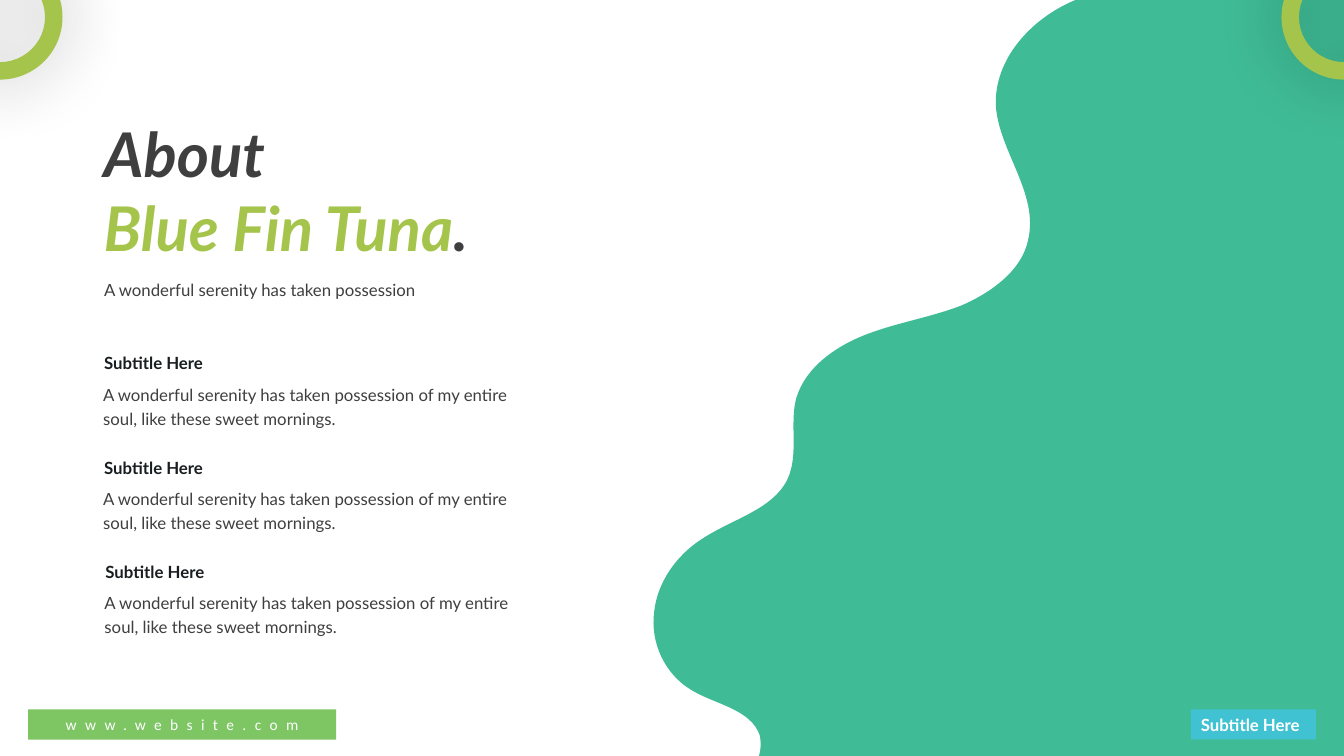
from dataclasses import dataclass, field
from typing import Any

import lxml.etree
import pptx
import pptx.dml.color
import pptx.enum.shapes
import pptx.enum.text
import pptx.oxml.ns
import pptx.util

SLIDE_WIDTH = pptx.util.Inches(40 / 3)
SLIDE_HEIGHT = pptx.util.Inches(7.5)
COLUMNS = 400 / 3
ROWS = 75

SHAPES = pptx.enum.shapes.MSO_SHAPE
ALIGN = pptx.enum.text.PP_ALIGN
ANCHOR = pptx.enum.text.MSO_ANCHOR
AUTO_SIZE = pptx.enum.text.MSO_AUTO_SIZE

Point = tuple[float, float]


@dataclass(frozen=True)
class Theme:
    wave: str = "3FBC96"
    lime: str = "A5C44B"
    leaf: str = "7EC564"
    sky: str = "40C2D2"
    gray: str = "3F3F3F"
    ink: str = "181E20"
    white: str = "FFFFFF"
    shadow: str = "000000"
    font: str = "Lato"
    address_font: str = "Calibri"
    title_size: int = 44
    body_size: int = 12
    address_size: int = 11
    address_spacing: int = 600


THEME = Theme()


@dataclass(frozen=True)
class Box:
    left: float
    top: float
    width: float
    height: float

    def placement(self) -> tuple[int, int, int, int]:
        return (*place((self.left, self.top)), *place((self.width, self.height)))


@dataclass(frozen=True)
class TextRun:
    text: str
    color: str
    size: int = THEME.body_size
    name: str = THEME.font
    bold: bool = False
    italic: bool = False
    spacing: int = 0


@dataclass(frozen=True)
class Label:
    box: Box
    lines: list[list[TextRun]]
    line_spacing: float | None = None
    fill: str | None = None
    kind: Any = SHAPES.RECTANGLE
    alignment: Any = ALIGN.LEFT
    frame: dict[str, Any] = field(default_factory=lambda: {
        "word_wrap": True,
        "auto_size": AUTO_SIZE.SHAPE_TO_FIT_TEXT,
        "vertical_anchor": ANCHOR.TOP,
    })


WAVE_START: Point = (75.3, 75)
WAVE_CURVES: list[tuple[Point, Point, Point]] = [
    ((75.5, 74.4), (75.5, 73.7), (75.4, 73)),
    ((74.5, 70.3), (70.9, 69.9), (68.5, 68.4)),
    ((65.9, 66.8), (64.5, 63.7), (64.9, 60.7)),
    ((65.2, 57.8), (67.1, 55.1), (69.6, 53.5)),
    ((72.6, 51.5), (76.6, 50.6), (78.1, 47.6)),
    ((79.3, 45.1), (78.3, 42.1), (79, 39.5)),
    ((79.9, 36.5), (82.8, 34.4), (85.9, 33.2)),
    ((89, 32), (92.3, 31.5), (95.4, 30.3)),
    ((98.4, 29), (101.4, 26.8), (102, 23.8)),
    ((103.1, 19.2), (99.1, 15), (98.8, 10.5)),
    ((98.6, 5.9), (102.3, 1.8), (106.7, 0)),
    ((108.9, -0.8), (111.3, -1.2), (113.7, -1.2)),
    ((116.1, -1.2), (118.6, -0.9), (120.9, -0.3)),
]
WAVE_CORNERS: list[Point] = [(122.4, 0), (COLUMNS, 0), (COLUMNS, ROWS)]


def place(point: Point) -> tuple[int, int]:
    return round(point[0] * SLIDE_WIDTH / COLUMNS), round(point[1] * SLIDE_HEIGHT / ROWS)


def rgb(color: str) -> pptx.dml.color.RGBColor:
    return pptx.dml.color.RGBColor.from_string(color)


def set_values(target: Any, values: dict[str, Any]) -> None:
    for name, value in values.items():
        setattr(target, name, value)


def paint(shape: Any, color: str) -> None:
    shape.fill.solid()
    shape.fill.fore_color.rgb = rgb(color)
    shape.line.fill.background()
    shape.shadow.inherit = False


def draw_wave(slide: Any) -> None:
    anchors = [curve[-1] for curve in WAVE_CURVES] + WAVE_CORNERS
    builder = slide.shapes.build_freeform(*place(WAVE_START))
    builder.add_line_segments([place(anchor) for anchor in anchors], close=True)
    wave = builder.convert_to_shape()
    paint(wave, THEME.wave)
    qualified = pptx.oxml.ns.qn
    segments = list(wave._element.iter(qualified("a:lnTo")))
    for segment, curve in zip(segments, WAVE_CURVES):
        bend = lxml.etree.Element(qualified("a:cubicBezTo"))
        for x, y in map(place, curve):
            lxml.etree.SubElement(bend, qualified("a:pt"),
                                  x=str(x - wave.left), y=str(y - wave.top))
        segment.getparent().replace(segment, bend)


def draw_label(slide: Any, label: Label) -> Any:
    if label.fill:
        shape = slide.shapes.add_shape(label.kind, *label.box.placement())
        paint(shape, label.fill)
    else:
        shape = slide.shapes.add_textbox(*label.box.placement())
    frame = shape.text_frame
    set_values(frame, label.frame)
    for index, line in enumerate(label.lines):
        paragraph = frame.add_paragraph() if index else frame.paragraphs[0]
        set_values(paragraph, {"alignment": label.alignment, "line_spacing": label.line_spacing})
        for part in line:
            run = paragraph.add_run()
            run.text = part.text
            set_values(run.font, {
                "name": part.name, "size": pptx.util.Pt(part.size),
                "bold": part.bold, "italic": part.italic,
            })
            run.font.color.rgb = rgb(part.color)
            if part.spacing:
                run.font._element.set("spc", str(part.spacing))
    return shape


def draw_ring(slide: Any, center: float) -> None:
    size = 12.4
    box = Box(center - size / 2, -4.5, size, size)
    ring = slide.shapes.add_shape(SHAPES.DONUT, *box.placement())
    ring.adjustments[0] = 0.14
    paint(ring, THEME.lime)
    qualified = pptx.oxml.ns.qn
    effects = ring._element.spPr.find(qualified("a:effectLst"))
    shadow = lxml.etree.SubElement(effects, qualified("a:outerShdw"), {
        "blurRad": str(pptx.util.Pt(49)), "dist": "0", "dir": "0",
        "algn": "ctr", "rotWithShape": "0",
    })
    color = lxml.etree.SubElement(shadow, qualified("a:srgbClr"), val=THEME.shadow)
    lxml.etree.SubElement(color, qualified("a:alpha"), val="33000")


def main() -> None:
    presentation = pptx.Presentation()
    set_values(presentation, {"slide_width": SLIDE_WIDTH, "slide_height": SLIDE_HEIGHT})
    slide = presentation.slides.add_slide(presentation.slide_layouts[6])
    draw_wave(slide)

    title = {"size": THEME.title_size, "bold": True, "italic": True}
    draw_label(slide, Label(Box(9.3, 11.05, 52.2, 15.8), [
        [TextRun("About", THEME.gray, **title)],
        [TextRun("Blue Fin Tuna", THEME.lime, **title), TextRun(".", THEME.gray, **title)],
    ]))
    draw_label(slide, Label(Box(9.35, 26.3, 44.2, 3.7), [
        [TextRun("A wonderful serenity has taken possession", THEME.gray)],
    ], 1.5))

    summary = ("A wonderful serenity has taken possession of my entire soul, "
               "like these sweet mornings.")
    for index, shift in enumerate((0, 0, 0.13)):
        left, top = 9.25 + shift, 33.95 + index * 10.33
        draw_label(slide, Label(Box(left, top + 3.3, 44.1, 5.6),
                                [[TextRun(summary, THEME.gray)]], 1.2))
        draw_label(slide, Label(Box(left + 0.1, top, 12.6, 3.4),
                                [[TextRun("Subtitle Here", THEME.ink, bold=True)]], 1.3))

    draw_label(slide, Label(
        Box(118.15, 70.37, 12.4, 3), [[TextRun("Subtitle Here", THEME.white, bold=True)]],
        fill=THEME.sky,
        frame={"word_wrap": False, "auto_size": AUTO_SIZE.SHAPE_TO_FIT_TEXT,
               "vertical_anchor": ANCHOR.TOP}))
    address = draw_label(slide, Label(
        Box(2.8, 70.37, 30.55, 3),
        [[TextRun("www.website.com", THEME.white, THEME.address_size, THEME.address_font,
                  spacing=THEME.address_spacing)]],
        fill=THEME.leaf, kind=SHAPES.ROUNDED_RECTANGLE, alignment=ALIGN.CENTER,
        frame={"word_wrap": True, "vertical_anchor": ANCHOR.MIDDLE}))
    address.adjustments[0] = 0

    for center in (0, COLUMNS):
        draw_ring(slide, center)
    presentation.save("out.pptx")


if __name__ == "__main__":
    main()
